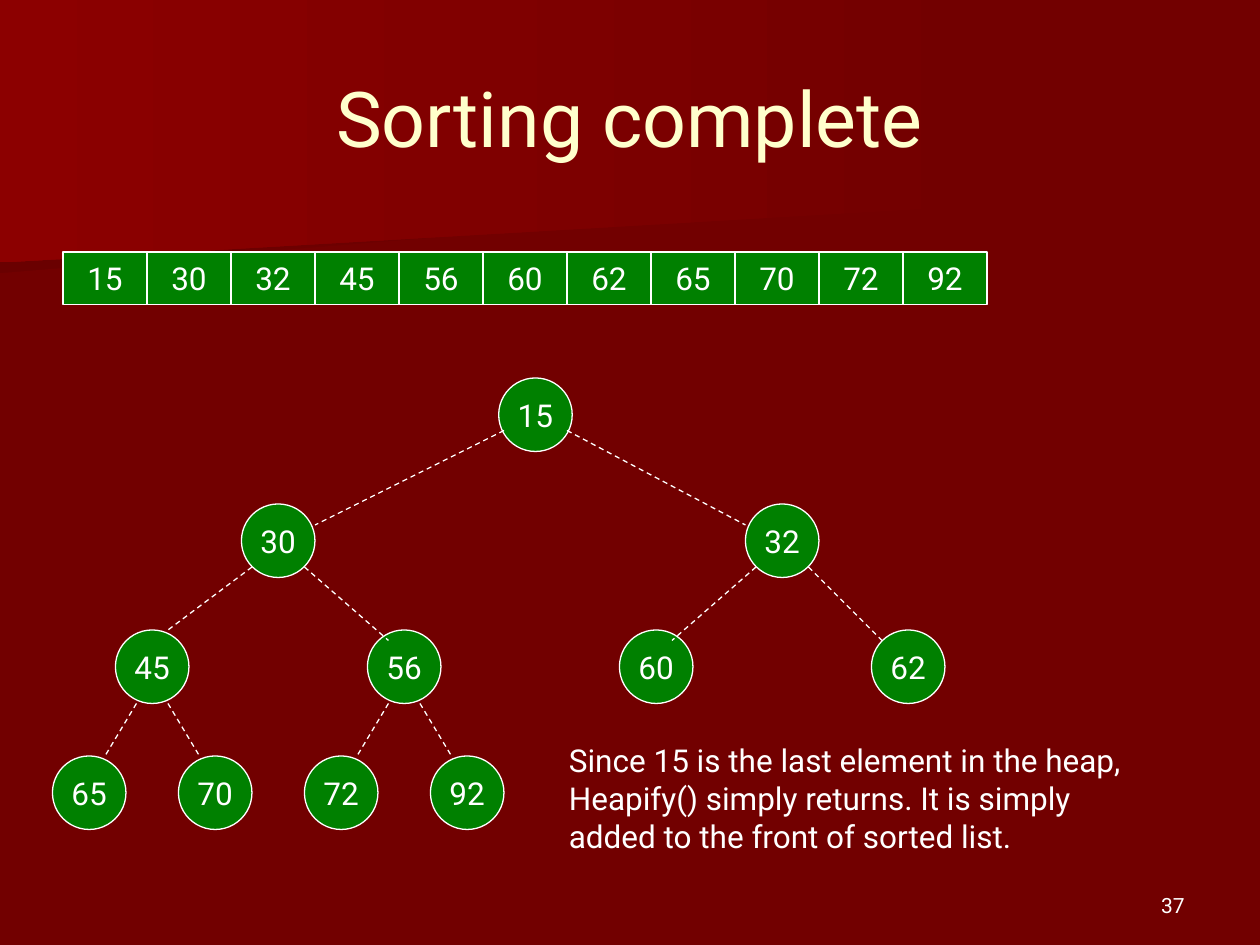
import pptx
import pptx.dml.color
import pptx.enum.dml
import pptx.enum.shapes
import pptx.enum.text
import pptx.oxml.ns
import pptx.util
from lxml import etree

Pt = pptx.util.Pt
RGBColor = pptx.dml.color.RGBColor
SHAPES = pptx.enum.shapes.MSO_SHAPE
ANCHOR = pptx.enum.text.MSO_ANCHOR
ALIGN = pptx.enum.text.PP_ALIGN

BACKGROUND = RGBColor(0x72, 0x00, 0x00)
DARK_RED = RGBColor(0x6A, 0x00, 0x00)
BRIGHT_RED = RGBColor(0x8C, 0x00, 0x00)
GREEN = RGBColor(0x00, 0x80, 0x00)
WHITE = RGBColor(0xFF, 0xFF, 0xFF)
CREAM = RGBColor(0xFF, 0xFF, 0xCC)

presentation = pptx.Presentation()
presentation.slide_width = Pt(720)
presentation.slide_height = Pt(540)
slide = presentation.slides.add_slide(presentation.slide_layouts[6])
slide.background.fill.solid()
slide.background.fill.fore_color.rgb = BACKGROUND


def write(shape, lines, size, color, align, anchor, wrap=True):
    frame = shape.text_frame
    frame.text = "\n".join(lines)
    frame.word_wrap = wrap
    frame.vertical_anchor = anchor
    for paragraph in frame.paragraphs:
        paragraph.alignment = align
        paragraph.font.name = "Roboto"
        paragraph.font.size = Pt(size)
        paragraph.font.color.rgb = color


def add_number(kind, left, top, width, height, number):
    shape = slide.shapes.add_shape(kind, Pt(left), Pt(top), Pt(width), Pt(height))
    shape.shadow.inherit = False
    shape.fill.solid()
    shape.fill.fore_color.rgb = GREEN
    shape.line.color.rgb = WHITE
    shape.line.width = Pt(0.75)
    write(shape, [str(number)], 18, WHITE, ALIGN.CENTER, ANCHOR.MIDDLE, wrap=False)


# Background bands, fading to the right
bands = [
    (DARK_RED, [(560, 110), (0, 156), (0, 73), (561, 73), (560, 92)]),
    (BRIGHT_RED, [(570, 117), (0, 150), (0, 0), (570, 0)]),
]
for color, corners in bands:
    points = [(Pt(x), Pt(y)) for x, y in corners]
    builder = slide.shapes.build_freeform(*points[0])
    builder.add_line_segments(points[1:], close=True)
    band = builder.convert_to_shape()
    band.shadow.inherit = False
    band.line.fill.background()
    band.fill.gradient()
    band.fill.gradient_angle = 180
    for stop, stop_color, position in zip(
        band.fill.gradient_stops, (BACKGROUND, color), (0, 1)
    ):
        stop.color.rgb = stop_color
        stop.position = position

# Title
title = slide.shapes.add_textbox(Pt(36), Pt(21.6), Pt(648), Pt(90))
write(title, ["Sorting complete"], 44, CREAM, ALIGN.CENTER, ANCHOR.MIDDLE)

# Explanation
explanation = slide.shapes.add_textbox(Pt(318), Pt(420), Pt(348), Pt(72))
write(
    explanation,
    [
        "Since 15 is the last element in the heap,",
        "Heapify() simply returns. It is simply added to the front of sorted list.",
    ],
    18, WHITE, ALIGN.LEFT, ANCHOR.TOP,
)
explanation.text_frame.auto_size = pptx.enum.text.MSO_AUTO_SIZE.SHAPE_TO_FIT_TEXT

# Heap nodes, level by level
numbers = [15, 30, 32, 45, 56, 60, 62, 65, 70, 72, 92]
levels = [[285], [138, 426], [66, 210, 354, 498], [30, 102, 174, 246]]
positions = [
    (left, 216 + 72 * depth) for depth, lefts in enumerate(levels) for left in lefts
]
for number, (left, top) in zip(numbers, positions):
    add_number(SHAPES.OVAL, left, top, 42, 42, number)

# Dashed edges from parent to child
edges = [
    (288, 246, 180, 300), (324, 246, 426, 300),
    (144, 324, 96, 360), (174, 324, 222, 366),
    (432, 324, 384, 366), (462, 324, 504, 366),
    (78, 402, 60, 432), (96, 402, 114, 432),
    (222, 402, 204, 432), (240, 402, 258, 432),
]
for edge in edges:
    connector = slide.shapes.add_connector(
        pptx.enum.shapes.MSO_CONNECTOR.STRAIGHT, *[Pt(value) for value in edge]
    )
    connector.line.color.rgb = WHITE
    connector.line.width = Pt(0.75)
    connector.line.dash_style = pptx.enum.dml.MSO_LINE.DASH
    properties = connector._element.spPr
    etree.SubElement(properties, pptx.oxml.ns.qn("a:effectLst"))

# Sorted array
for index, number in enumerate(numbers):
    add_number(SHAPES.RECTANGLE, 36 + 48 * index, 144, 48, 30, number)

# Slide number
slide_number = slide.shapes.add_textbox(Pt(516), Pt(492), Pt(168), Pt(36))
write(slide_number, ["37"], 12, WHITE, ALIGN.RIGHT, ANCHOR.BOTTOM)

presentation.save("out.pptx")
